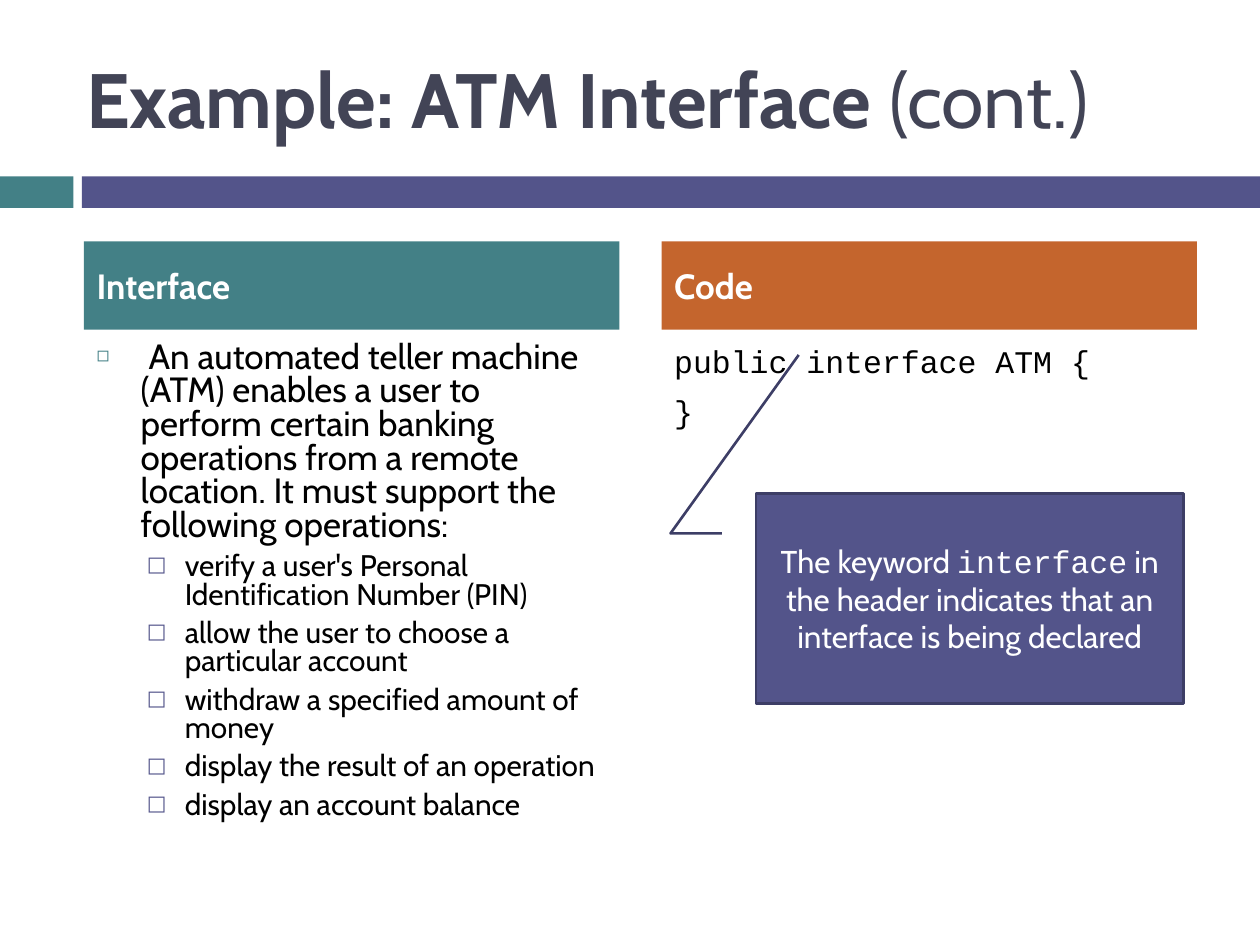
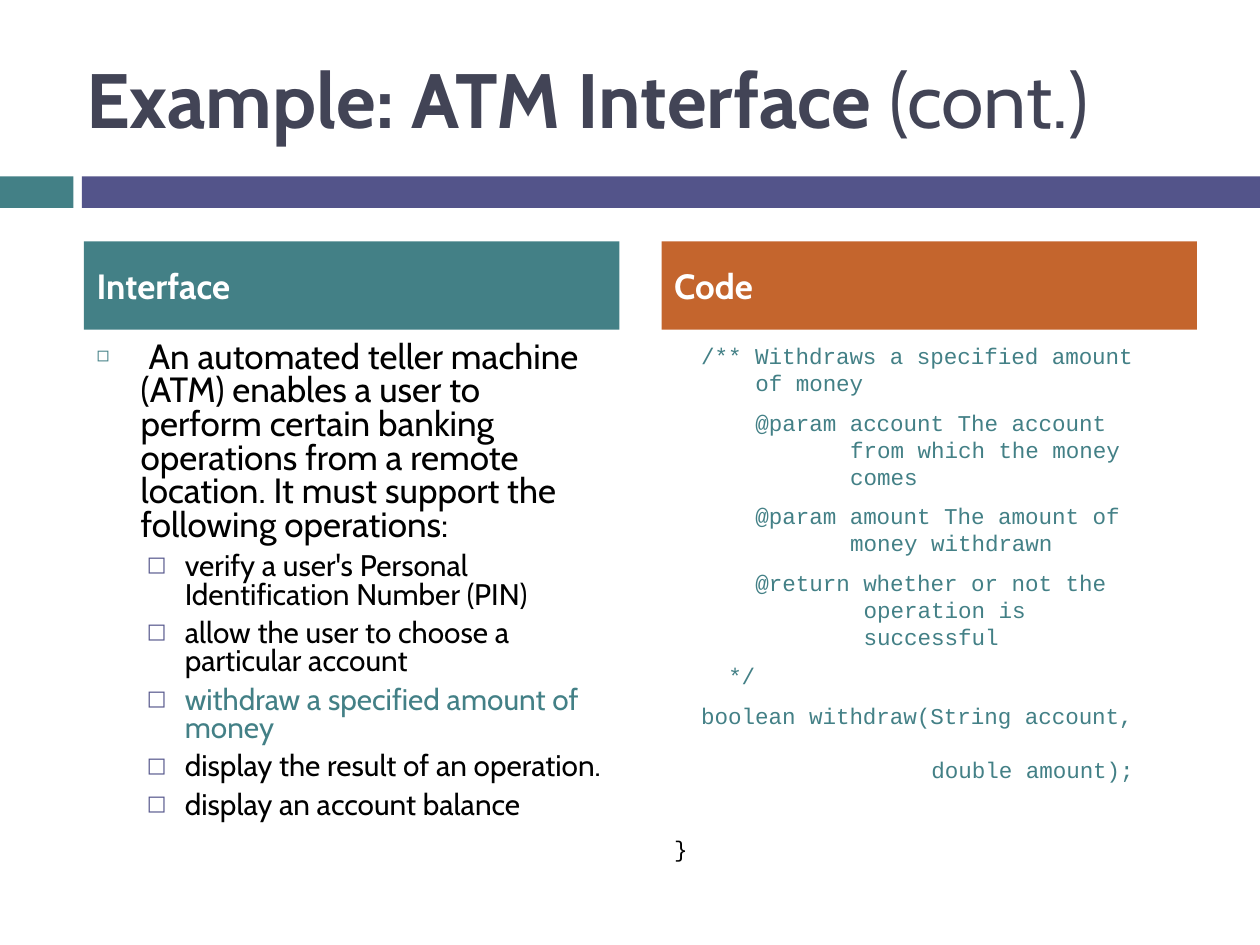
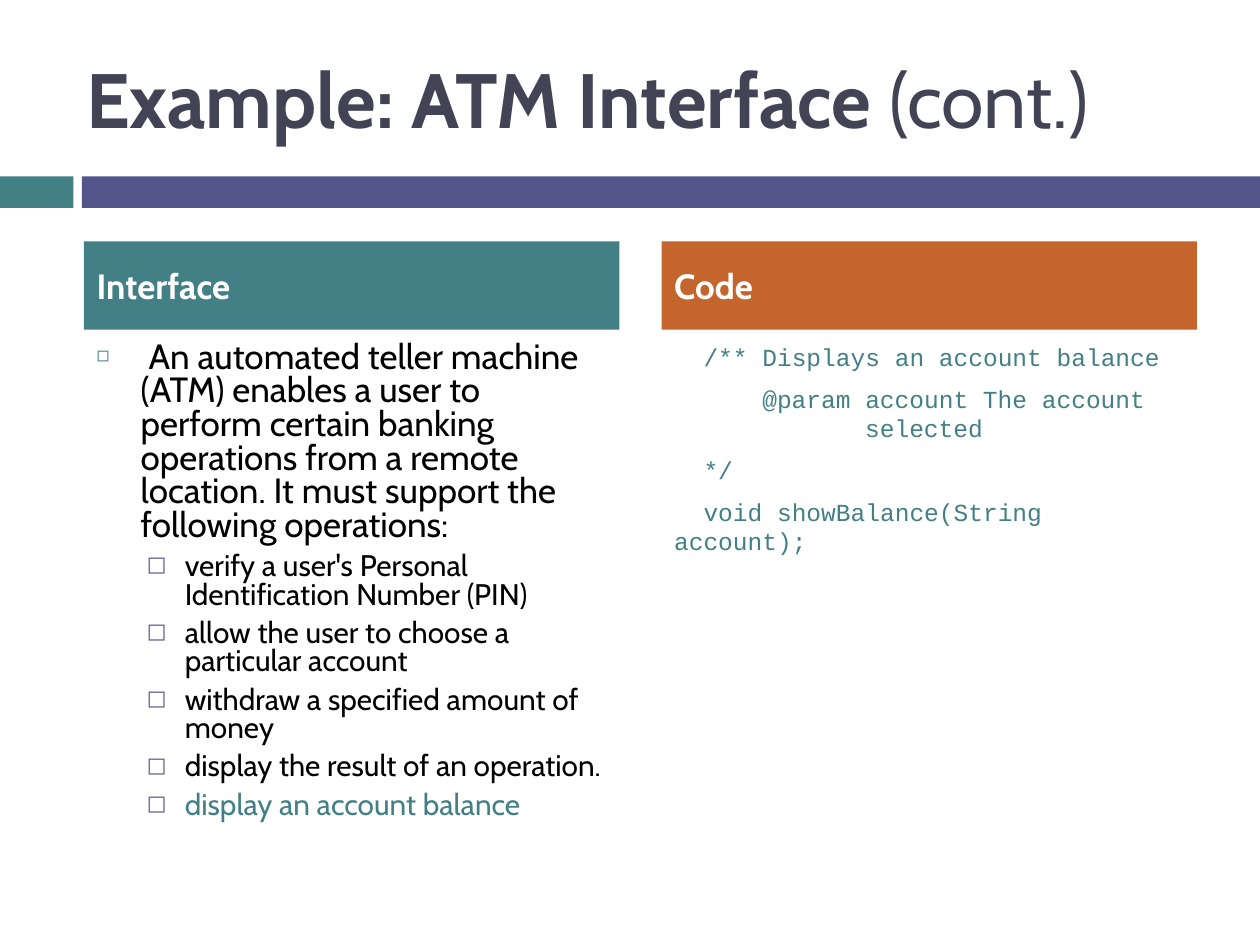
from lxml import etree
from pptx import Presentation
from pptx import util as u
from pptx.dml.color import RGBColor
from pptx.enum import shapes, text
from pptx.oxml.ns import qn

COLORS = {"teal": "438086", "indigo": "53548A", "orange": "C4652D", "edge": "3D3E66",
          "title": "424456", "black": "000000", "white": "FFFFFF"}
SANS, MONO = "Cabin", "Courier New"
COLUMNS, ROWS = 120, 90
FRAMES = {0: (7, 3.6, 107, 11.4), 1: (8, 23, 51, 8.4), 2: (8, 32, 51, 47),
          3: (63, 23, 51, 8.4), 4: (63, 32, 51, 47)}
BULLETS = {0: ("◻", "teal", 60, 0.35, -0.35, 20, 7), 1: ("□", "indigo", 70, 0.7, -0.3, 17, 5.5)}
INTRO = (" An automated teller machine (ATM) enables a user to perform certain banking operations "
         "from a remote location. It must support the following operations:")
OPERATIONS = ["verify a user's Personal Identification Number (PIN)",
              "allow the user to choose a particular account",
              "withdraw a specified amount of money",
              "display the result of an operation",
              "display an account balance"]


class Lesson:
    """Builds comparison slides on a 120 by 90 grid in one shared style."""

    def __init__(self):
        self.deck = Presentation()
        self.deck.slide_width, self.deck.slide_height = u.Inches(10), u.Inches(7.5)
        self.layout = self.deck.slide_layouts[4]
        for holder in self.layout.placeholders:
            index = holder.placeholder_format.idx
            if index in FRAMES:
                holder.left, holder.top, holder.width, holder.height = self.frame(*FRAMES[index])
        self.page = None

    def frame(self, column, row, columns, rows):
        across, down = self.deck.slide_width / COLUMNS, self.deck.slide_height / ROWS
        return [round(size) for size in (column * across, row * down, columns * across, rows * down)]

    def paint(self, box, color):
        box.fill.solid()
        box.fill.fore_color.rgb = RGBColor.from_string(COLORS[color])

    def shape(self, kind, place, color):
        box = self.page.shapes.add_shape(kind, *self.frame(*place))
        box.shadow.inherit = False
        self.paint(box, color)
        box.line.fill.background()
        return box

    def bands(self):
        for place, color in (((0, 16.8, 7, 3), "teal"), ((7.8, 16.8, 112.2, 3), "indigo")):
            band = self.shape(shapes.MSO_SHAPE.RECTANGLE, place, color)
            self.layout.shapes.element.insert(2, band.element)

    def start(self):
        self.page = self.deck.slides.add_slide(self.layout)
        if len(self.deck.slides) == 1:
            self.bands()
        para = self.para(self.holder(0, text.MSO_ANCHOR.MIDDLE), 0)
        self.span(para, "Example: ATM Interface ", 44, "title", bold=True)
        self.span(para, "(cont.)", 44, "title")

    def holder(self, index, anchor):
        box = self.page.placeholders[index]
        box.text_frame.auto_size = text.MSO_AUTO_SIZE.NONE
        box.text_frame.vertical_anchor = anchor
        box.text_frame.word_wrap = True
        return box

    def para(self, box, before, margin=0.0, indent=0.0, align=text.PP_ALIGN.LEFT):
        frame = box.text_frame
        para = frame.paragraphs[0] if not frame.text else frame.add_paragraph()
        para.alignment = align
        para.space_before = u.Pt(before)
        para.line_spacing = 1.0
        props = para._p.get_or_add_pPr()
        props.set("marL", str(u.Inches(margin)))
        props.set("indent", str(u.Inches(indent)))
        return para

    def span(self, para, words, size, color, font=SANS, bold=False):
        span = para.add_run()
        span.text = words
        span.font.name, span.font.size, span.font.bold = font, u.Pt(size), bold
        span.font.color.rgb = RGBColor.from_string(COLORS[color])

    def bullet(self, para, sign, color, percent):
        props = para._p.get_or_add_pPr()
        tint = etree.SubElement(props, qn("a:buClr"))
        etree.SubElement(tint, qn("a:srgbClr"), val=COLORS[color])
        etree.SubElement(props, qn("a:buSzPct"), val=str(percent * 1000))
        etree.SubElement(props, qn("a:buFont"), typeface=SANS)
        etree.SubElement(props, qn("a:buChar"), char=sign)

    def heading(self, index, words, color):
        box = self.holder(index, text.MSO_ANCHOR.MIDDLE)
        self.paint(box, color)
        self.span(self.para(box, 7), words, 20, "white", bold=True)

    def operations(self, stop, marked):
        self.heading(1, "Interface", "teal")
        box = self.holder(2, text.MSO_ANCHOR.TOP)
        for number, words in enumerate([INTRO] + OPERATIONS):
            level = min(number, 1)
            sign, tint, percent, margin, indent, size, before = BULLETS[level]
            para = self.para(box, before, margin, indent)
            para.level, para.line_spacing = level, 0.8
            self.bullet(para, sign, tint, percent)
            ending = stop if number == 4 else ""
            self.span(para, words + ending, size, "teal" if number == marked else "black")

    def code(self, size, blocks):
        self.heading(3, "Code", "orange")
        box = self.holder(4, text.MSO_ANCHOR.TOP)
        letter = size * 0.6 / 72
        for first, rest, before, color, lines in blocks:
            para = self.para(box, before, rest * letter, (first - rest) * letter)
            etree.SubElement(para._p.get_or_add_pPr(), qn("a:buNone"))
            for number, line in enumerate(lines):
                if number:
                    para.add_line_break()
                self.span(para, line, size, color, MONO)
            for gap in para._p.findall(qn("a:br")):
                etree.SubElement(gap, qn("a:rPr"), sz=str(round(size * 100)))

    def callout(self, place, bends, parts):
        box = self.shape(shapes.MSO_SHAPE.LINE_CALLOUT_2, place, "indigo")
        for number, bend in enumerate(bends):
            box.adjustments[number] = bend
        box.line.color.rgb = RGBColor.from_string(COLORS["edge"])
        box.line.width = u.Pt(1.5)
        box.text_frame.word_wrap = True
        box.text_frame.vertical_anchor = text.MSO_ANCHOR.MIDDLE
        para = self.para(box, 0, align=text.PP_ALIGN.CENTER)
        for words, font in parts:
            self.span(para, words, 18, "white", font)


def main():
    lesson = Lesson()

    lesson.start()
    lesson.operations("", None)
    lesson.code(18, [(0, 0, 7, "black", ["public interface ATM {"]), (0, 0, 7, "black", ["}"])])
    lesson.callout((72, 47, 40.7, 20), (0.19, -0.08, 0.19, -0.2, -0.66, 0.1),
                   [("The keyword ", SANS), ("interface", MONO),
                    (" in the header indicates that an interface is being declared", SANS)])

    lesson.start()
    lesson.operations(".", 3)
    lesson.code(12.9, [
        (2, 6, 7, "teal", ["/** Withdraws a specified amount", "of money"]),
        (6, 13, 7, "teal", ["@param account The account", "from which the money", "comes"]),
        (6, 13, 7, "teal", ["@param amount The amount of", "money withdrawn"]),
        (6, 14, 7, "teal", ["@return whether or not the", "operation is", "successful"]),
        (4, 4, 7, "teal", ["*/"]),
        (2, 2, 7, "teal", ["boolean withdraw(String account,"]),
        (19, 19, 15.7, "teal", ["double amount);"]),
        (0, 0, 29.6, "black", ["}"])])

    lesson.start()
    lesson.operations(".", 5)
    lesson.code(14, [
        (2, 2, 7, "teal", ["/** Displays an account balance"]),
        (6, 13, 7, "teal", ["@param account The account", "selected"]),
        (2, 2, 7, "teal", ["*/"]),
        (2, 0, 7, "teal", ["void showBalance(String account);"])])

    lesson.deck.save("out.pptx")


if __name__ == "__main__":
    main()
